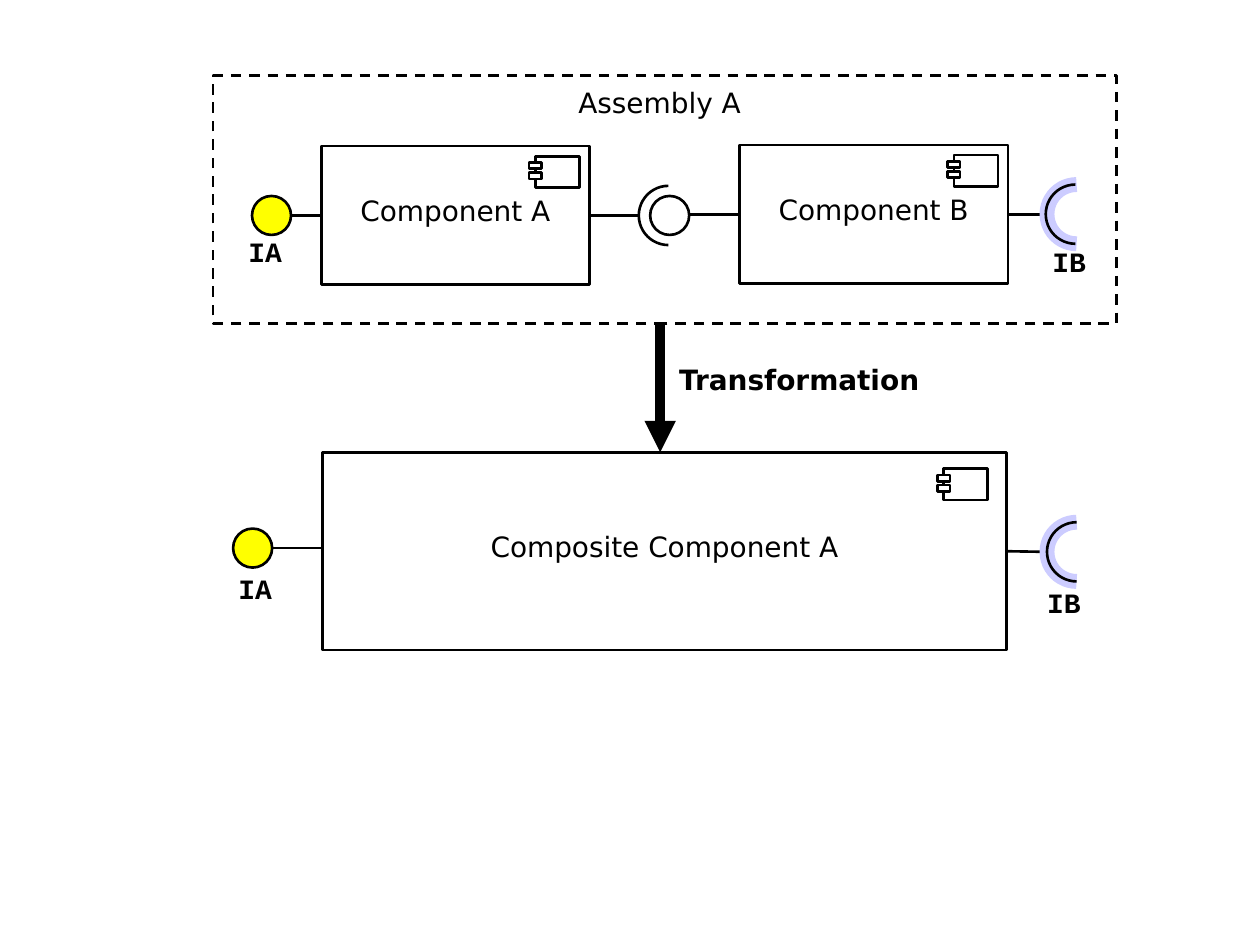
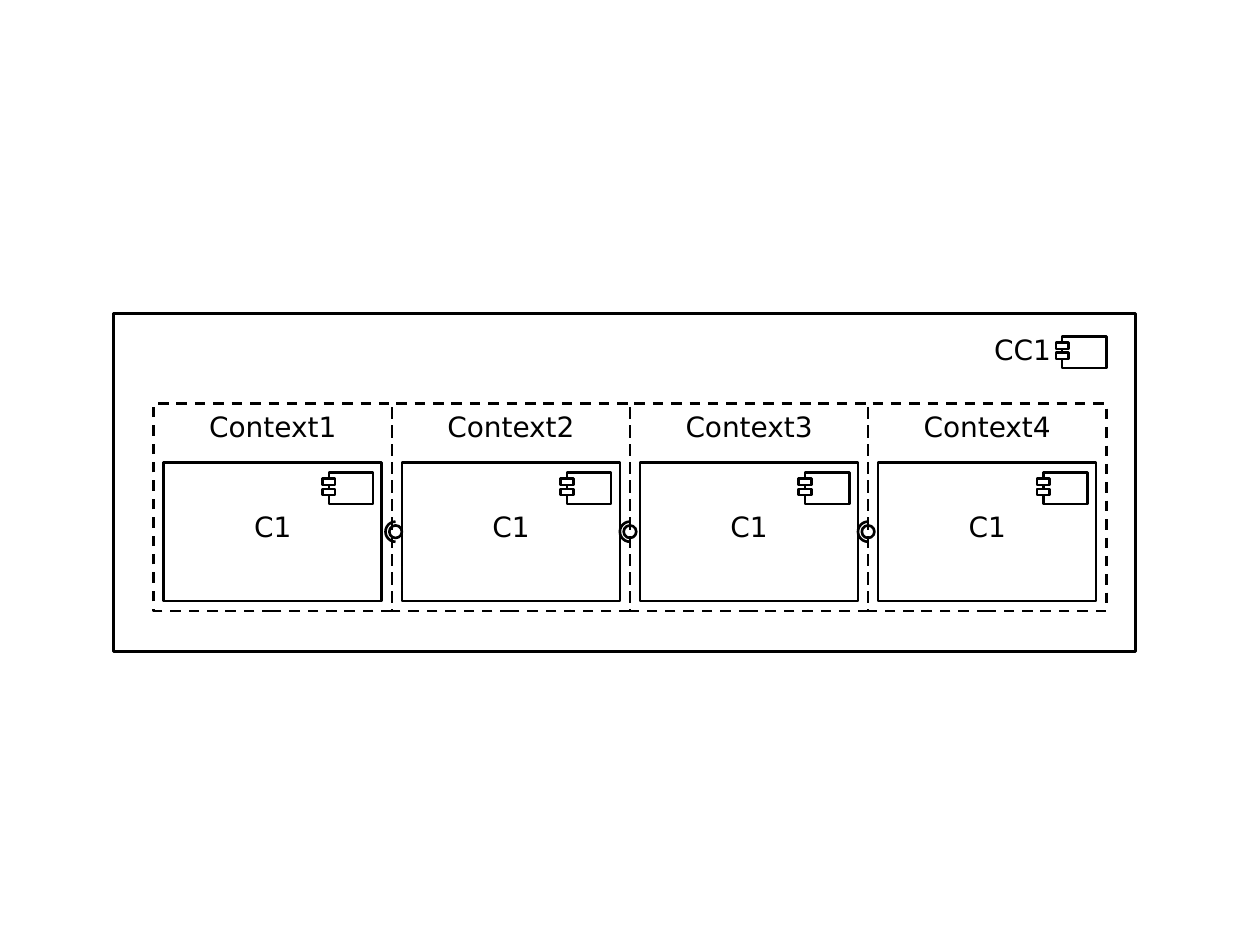
"""Build two slides of component diagrams: an assembly transformation and a composite."""
from dataclasses import dataclass

from lxml import etree
from pptx import Presentation
from pptx.dml.color import RGBColor
from pptx.enum import dml, shapes, text
from pptx.oxml.ns import qn
from pptx.util import Inches, Pt


@dataclass(frozen=True)
class Theme:
    """Colours, fonts and sizes shared by both slides."""
    ink: RGBColor = RGBColor(0x00, 0x00, 0x00)
    paper: RGBColor = RGBColor(0xFF, 0xFF, 0xFF)
    provided: RGBColor = RGBColor(0xFF, 0xFF, 0x00)
    halo: RGBColor = RGBColor(0xCC, 0xCC, 0xFF)
    sans: str = "DejaVu Sans"
    mono: str = "Courier New"
    size: float = 16
    stroke: float = 1.5
    halo_stroke: float = 8.5
    arrow_stroke: float = 6


THEME = Theme()
KIND = shapes.MSO_SHAPE


def outline(slide, kind, left, top, width, height, fill=None,
            color=THEME.ink, stroke=THEME.stroke):
    """Add an outlined preset shape, unfilled unless a fill is given."""
    figure = slide.shapes.add_shape(
        kind, Inches(left), Inches(top), Inches(width), Inches(height))
    figure.shadow.inherit = False
    if fill is None:
        figure.fill.background()
    else:
        figure.fill.solid()
        figure.fill.fore_color.rgb = fill
    figure.line.color.rgb = color
    figure.line.width = Pt(stroke)
    return figure


def write(holder, words, anchor, inset_top=0.0, inset_bottom=0.0, font=THEME.sans,
          bold=False, align=text.PP_ALIGN.CENTER):
    """Write one paragraph into a shape or text box."""
    frame = holder.text_frame
    frame.word_wrap = True
    frame.vertical_anchor = anchor
    frame.margin_left = frame.margin_right = 0
    frame.margin_top, frame.margin_bottom = Inches(inset_top), Inches(inset_bottom)
    line = frame.paragraphs[0]
    line.text = words
    line.alignment = align
    line.font.name = font
    line.font.size = Pt(THEME.size)
    line.font.bold = bold
    line.font.color.rgb = THEME.ink


def label(slide, words, left, top, width, height, **style):
    """Add a free-standing label."""
    box = slide.shapes.add_textbox(
        Inches(left), Inches(top), Inches(width), Inches(height))
    write(box, words, text.MSO_ANCHOR.TOP, **style)


def interface_name(slide, words, left, top):
    """Add the name of an interface."""
    label(slide, words, left, top, 0.67, 0.24, font=THEME.mono, bold=True)


def component_icon(slide, left, top):
    """Add the component symbol: a body with two tabs on its left edge."""
    outline(slide, KIND.RECTANGLE, left, top, 0.35, 0.25, THEME.paper)
    for drop in (0.05, 0.13):
        outline(slide, KIND.RECTANGLE, left - 0.05, top + drop, 0.1, 0.05, THEME.paper)


def component(slide, name, left, top, width, height, icon_right=0.43, icon_drop=0.08):
    """Add a named component with its symbol in the upper right corner."""
    body = outline(slide, KIND.RECTANGLE, left, top, width, height)
    write(body, name, text.MSO_ANCHOR.MIDDLE, inset_bottom=0.08)
    component_icon(slide, left + width - icon_right, top + icon_drop)
    return body


def dashed_frame(slide, left, top, width, height):
    """Add a dashed boundary."""
    frame = outline(slide, KIND.RECTANGLE, left, top, width, height)
    frame.line.dash_style = dml.MSO_LINE.DASH
    return frame


def ball(slide, left, middle, diameter=0.31, fill=None):
    """Add the ball of a provided interface."""
    outline(slide, KIND.OVAL, left, middle - diameter / 2, diameter, diameter, fill)


def socket(slide, left, middle, diameter=0.47, **style):
    """Add the half-circle of a required interface, open to the right."""
    arc = outline(slide, KIND.ARC, left, middle - diameter / 2, diameter, diameter, **style)
    arc.adjustments[0], arc.adjustments[1] = 54, 162


def highlighted_socket(slide, left, middle):
    """Add a required interface over a pale halo."""
    socket(slide, 8.31, middle, color=THEME.halo, stroke=THEME.halo_stroke)
    socket(slide, left, middle)


def link(slide, start, end, source=None, target=None, stroke=THEME.stroke):
    """Add a line, leaving a source's right side or reaching a target's left side."""
    wire = slide.shapes.add_connector(
        shapes.MSO_CONNECTOR.STRAIGHT, *(Inches(value) for value in start + end))
    wire.line.color.rgb = THEME.ink
    wire.line.width = Pt(stroke)
    etree.SubElement(wire.element.spPr, qn("a:effectLst"))
    if source is not None:
        wire.begin_connect(source, 3)
    if target is not None:
        wire.end_connect(target, 1)
    return wire


def transformation_slide(slide):
    """Show an assembly of two components becoming one composite."""
    dashed_frame(slide, 1.69, 0.6, 7.17, 1.97)
    label(slide, "Assembly A", 3.19, 0.68, 4.09, 0.31)
    component_a = component(slide, "Component A", 2.55, 1.16, 2.13, 1.1)
    component_b = component(slide, "Component B", 5.87, 1.15, 2.13, 1.1)
    composite = component(slide, "Composite Component A", 2.56, 3.59, 5.43, 1.57,
                          icon_right=0.5, icon_drop=0.13)

    ball(slide, 2, 1.71, fill=THEME.provided)
    link(slide, (2.31, 1.71), (2.55, 1.71), target=component_a)
    link(slide, (4.68, 1.71), (5.07, 1.71), source=component_a)
    socket(slide, 5.07, 1.71)
    ball(slide, 5.16, 1.71)
    link(slide, (5.47, 1.7), (5.87, 1.7), target=component_b)
    link(slide, (8, 1.7), (8.3, 1.7), source=component_b)
    highlighted_socket(slide, 8.3, 1.7)

    ball(slide, 1.85, 4.35, fill=THEME.provided)
    link(slide, (2.16, 4.35), (2.56, 4.35))
    link(slide, (7.99, 4.38), (8.31, 4.38), source=composite)
    highlighted_socket(slide, 8.31, 4.38)

    for name, left, top in (("IA", 1.77, 1.86), ("IB", 8.15, 1.94),
                            ("IA", 1.69, 4.54), ("IB", 8.11, 4.65)):
        interface_name(slide, name, left, top)

    arrow = link(slide, (5.24, 2.57), (5.24, 3.59), stroke=THEME.arrow_stroke)
    etree.SubElement(arrow.element.spPr.find(qn("a:ln")), qn("a:tailEnd"), type="triangle")
    label(slide, "Transformation", 5.39, 2.88, 2.21, 0.32, bold=True,
          align=text.PP_ALIGN.LEFT)


def composite_slide(slide):
    """Show a composite holding one component in four contexts."""
    outline(slide, KIND.RECTANGLE, 0.9, 2.49, 8.11, 2.68)
    label(slide, "CC1", 7.84, 2.59, 0.55, 0.37, inset_top=0.05)
    component_icon(slide, 8.43, 2.67)
    context_width = 1.89
    for index in range(4):
        left = 1.22 + index * context_width
        context = dashed_frame(slide, left, 3.2, context_width, 1.65)
        write(context, f"Context{index + 1}", text.MSO_ANCHOR.TOP, inset_top=0.05)
        component(slide, "C1", left + 0.08, 3.67, 1.73, 1.1, icon_right=0.42)
    for left in (3.06, 4.92, 6.81):
        socket(slide, left, 4.22, 0.16)
        ball(slide, left + 0.03, 4.22, 0.1)


def main():
    """Build and save the deck."""
    deck = Presentation()
    deck.slide_width, deck.slide_height = Inches(10), Inches(7.5)
    blank = deck.slide_layouts[6]
    for draw in (transformation_slide, composite_slide):
        draw(deck.slides.add_slide(blank))
    deck.save("out.pptx")


if __name__ == "__main__":
    main()
